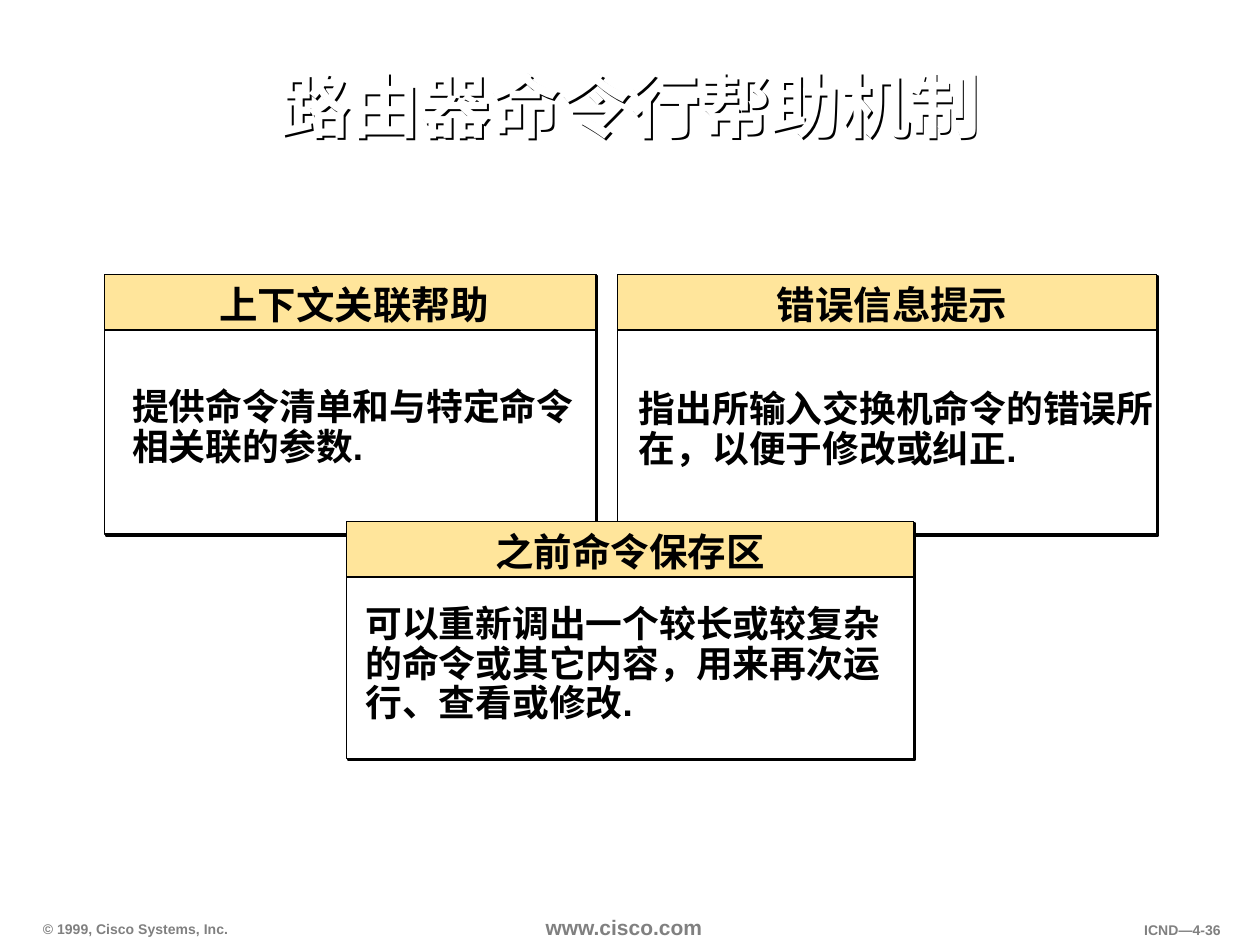
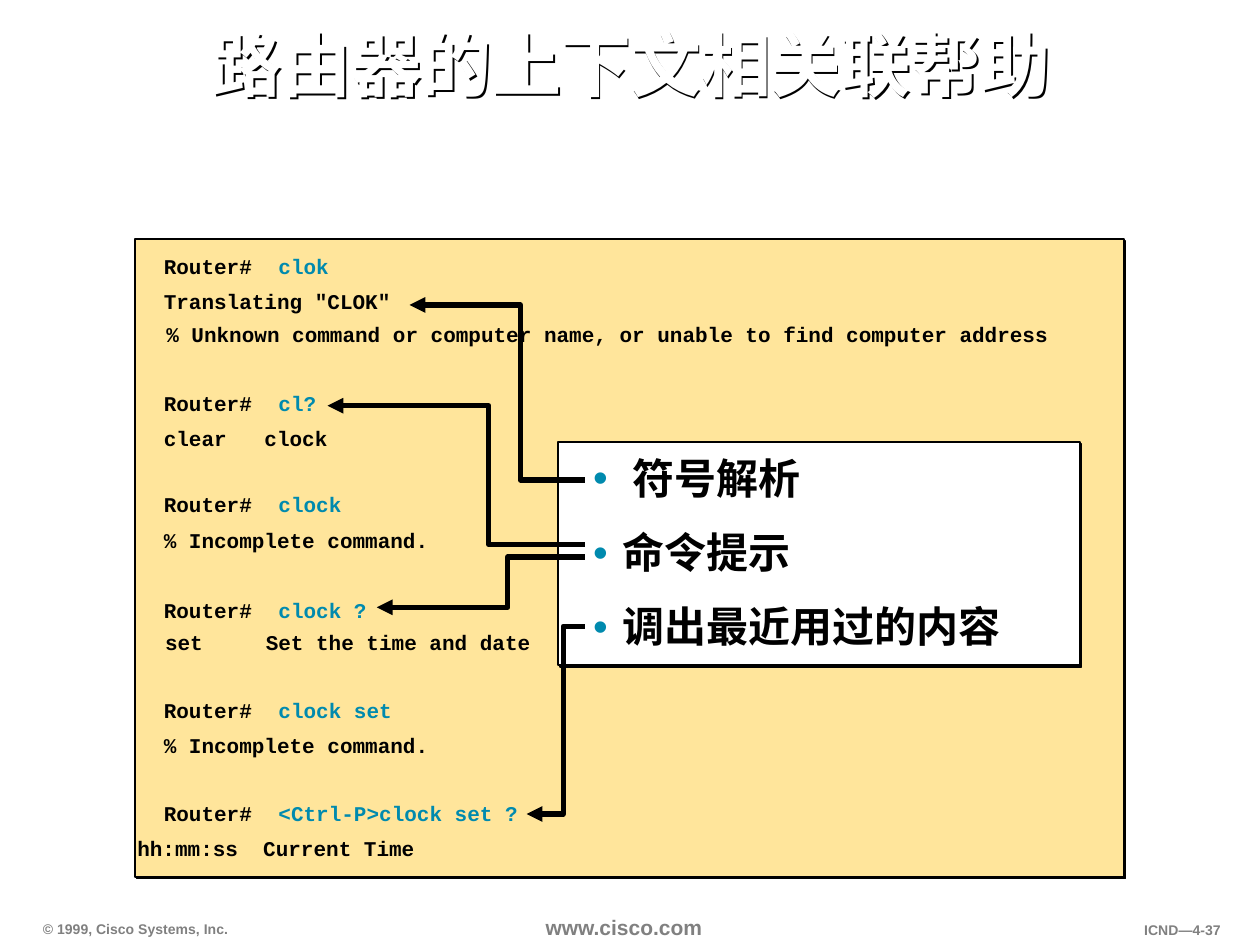
from dataclasses import dataclass

from lxml import etree
from pptx import Presentation
from pptx.dml.color import RGBColor
from pptx.enum.shapes import MSO_SHAPE
from pptx.enum.text import MSO_ANCHOR, MSO_AUTO_SIZE, PP_ALIGN
from pptx.oxml.ns import qn
from pptx.util import Inches, Pt

RECT = MSO_SHAPE.RECTANGLE
TOP, MID, LOW = MSO_ANCHOR.TOP, MSO_ANCHOR.MIDDLE, MSO_ANCHOR.BOTTOM
LEFT, MIDDLE, RIGHT = PP_ALIGN.LEFT, PP_ALIGN.CENTER, PP_ALIGN.RIGHT
GROW = MSO_AUTO_SIZE.SHAPE_TO_FIT_TEXT


@dataclass(frozen=True)
class Theme:
    ink: str = "000000"
    paper: str = "FFFFFF"
    sand: str = "FFE59B"
    teal: str = "008AAE"
    gray: str = "808080"
    sans: str = "Arial"
    mono: str = "Courier New"
    title: float = 40
    head: float = 22
    body: float = 21
    point: float = 24
    code: float = 12
    site: float = 12
    foot: float = 8
    thin: float = 1
    bold: float = 3
    drop: float = 1.4       # shadow of panels and titles


T = Theme()

# Footer: text, place, size, side padding, alignment, anchor, wrap
FOOT = [
    ("© 1999, Cisco Systems, Inc.", (0.25, 7.26, 1.68, 0.22), T.foot, 0.09, LEFT, LOW, False),
    ("www.cisco.com", (4.25, 7.22, 1.5, 0.28), T.site, 0.08, LEFT, TOP, True),
    ("ICND—4-{}", (8.58, 7.27, 1.2, 0.22), T.foot, 0.09, RIGHT, TOP, False),
]

# Help features: head, left and width of head, card, body text, text place
HEAD_H = 0.44
CARDS = [
    ("上下文关联帮助", (1.63, 2.36), (0.83, 2.18, 3.9, 2.06),
     "提供命令清单和与特定命令相关联的参数.", (0.94, 3.03, 3.94, 0.74)),
    ("错误信息提示", (6.05, 2.06), (4.9, 2.18, 4.28, 2.06),
     "指出所输入交换机命令的错误所在，以便于修改或纠正.", (4.96, 3.05, 4.42, 0.74)),
    ("之前命令保存区", (3.82, 2.36), (2.75, 4.14, 4.5, 1.88),
     "可以重新调出一个较长或较复杂的命令或其它内容，用来再次运行、查看或修改.",
     (2.79, 4.75, 4.42, 1.06)),
]

# Console session: top of the prompt, command, replies as (left, top, text)
PROMPT, CODE_X, CMD_X = "Router#", 1.18, 2.09
CODE_H, CHAR_W, CODE_PAD = 0.32, 0.1, 0.3
SHELL = [
    (1.95, "clok", [
        (CODE_X, 2.23, 'Translating "CLOK"'),
        (1.2, 2.49, "% Unknown command or computer name, "
                    "or unable to find computer address")]),
    (3.04, "cl?", [(CODE_X, 3.32, "clear   clock")]),
    (3.84, "clock", [(CODE_X, 4.13, "% Incomplete command.")]),
    (4.68, "clock ?", [(1.19, 4.94, "set     Set the time and date")]),
    (5.48, "clock set", [(CODE_X, 5.75, "% Incomplete command.")]),
    (6.29, "<Ctrl-P>clock set ?", [(0.97, 6.57, "hh:mm:ss  Current Time")]),
]
SCREEN = (1.07, 1.9, 7.85, 5.06)
PANEL = (4.43, 3.51, 4.14, 1.77)

# Points: text and indent
POINTS = [("符号解析", 0.31), ("命令提示", 0.23), ("调出最近用过的内容", 0.23)]
POINT_BOX = (4.61, 3.27, 4.66, 2.25)

# Arrows from the points to the session: start y, bend x, end x, end y
ARROW_X = 4.64
ARROWS = [
    (3.81, 4.13, 3.25, 2.42),
    (4.97, 4.47, 4.18, 6.46),
    (4.32, 3.88, 2.6, 3.22),
    (4.42, 4.03, 2.99, 4.82),
]


def rgb(tone):
    return RGBColor.from_string(tone)


def place(box):
    return [Inches(n) for n in box]


def shade(shape):
    """Give a shape a hard black shadow to the lower right."""
    shape.shadow.inherit = False
    fx = shape._element.spPr.find(qn("a:effectLst"))
    drop = etree.SubElement(fx, qn("a:outerShdw"), blurRad="0",
                            dist=str(Pt(T.drop)), dir="2700000",
                            algn="ctr", rotWithShape="0")
    etree.SubElement(drop, qn("a:srgbClr"), val=T.ink)


def write(para, text, size, tone=T.ink, font=T.sans):
    run = para.add_run()
    run.text = text
    face = run.font
    face.name, face.size, face.bold = font, Pt(size), True
    face.color.rgb = rgb(tone)


def set_frame(frame, pad, anchor, wrap):
    frame.word_wrap, frame.vertical_anchor = wrap, anchor
    frame.margin_left = frame.margin_right = Inches(pad[0])
    frame.margin_top = frame.margin_bottom = Inches(pad[1])


def add_text(slide, text, box, size, tone=T.ink, font=T.sans, pad=(0.11, 0.06),
             align=LEFT, anchor=TOP, wrap=True, grow=True, lead=None):
    shape = slide.shapes.add_textbox(*place(box))
    frame = shape.text_frame
    set_frame(frame, pad, anchor, wrap)
    if grow:
        frame.auto_size = GROW
    para = frame.paragraphs[0]
    para.alignment, para.line_spacing = align, lead
    write(para, text, size, tone, font)
    return shape


def add_rect(slide, box, tone, drop=True):
    shape = slide.shapes.add_shape(RECT, *place(box))
    shape.fill.solid()
    shape.fill.fore_color.rgb = rgb(tone)
    shape.line.color.rgb = rgb(T.ink)
    shape.line.width = Pt(T.thin)
    if drop:
        shade(shape)
    else:
        shape.shadow.inherit = False


def add_slide(deck, page):
    """Add a blank slide with the shared footer."""
    slide = deck.slides.add_slide(deck.slide_layouts[6])
    for text, box, size, side, align, anchor, wrap in FOOT:
        add_text(slide, text.format(page), box, size, T.gray, pad=(side, 0.04),
                 align=align, anchor=anchor, wrap=wrap)
    return slide


def add_title(slide, text, box):
    shape = add_text(slide, text, box, T.title, T.paper, pad=(0.09, 0.04),
                     align=MIDDLE, anchor=MID, grow=False, lead=0.9)
    shade(shape)


def add_card(slide, head, span, card, body, box):
    left, top, width, _ = card
    add_rect(slide, card, T.paper)
    add_rect(slide, (left, top, width, HEAD_H), T.sand, drop=False)
    add_text(slide, head, (span[0], top - 0.01, span[1], 0.48), T.head,
             align=MIDDLE, anchor=MID, wrap=False)
    add_text(slide, body, box, T.body, anchor=MID, lead=0.9)


def add_code(slide, left, top, text, tone=T.ink):
    width = len(text) * CHAR_W + CODE_PAD
    add_text(slide, text, (left, top, width, CODE_H), T.code, tone, T.mono,
             pad=(0.12, 0.06), wrap=False, grow=False)


def add_points(slide):
    frame = slide.shapes.add_textbox(*place(POINT_BOX)).text_frame
    set_frame(frame, (0.1, 0.05), MID, True)
    for i, (text, dent) in enumerate(POINTS):
        para = frame.add_paragraph() if i else frame.paragraphs[0]
        props = para._p.get_or_add_pPr()
        props.set("marL", str(Inches(dent)))
        props.set("indent", str(-Inches(dent)))
        tint = etree.SubElement(props, qn("a:buClr"))
        etree.SubElement(tint, qn("a:srgbClr"), val=T.teal)
        etree.SubElement(props, qn("a:buFont"), typeface=T.sans)
        etree.SubElement(props, qn("a:buChar"), char="•")
        para.line_spacing = 0.95
        if i:
            para.space_before = Pt(15)
        write(para, text, T.point)


def add_arrow(slide, start, bend, end, goal):
    path = [(bend, start), (bend, goal), (end, goal)]
    pen = slide.shapes.build_freeform(Inches(ARROW_X), Inches(start))
    pen.add_line_segments([place(dot) for dot in path], close=False)
    shape = pen.convert_to_shape()
    shape.fill.background()
    shape.shadow.inherit = False
    shape.line.color.rgb = rgb(T.ink)
    shape.line.width = Pt(T.bold)
    line = shape._element.spPr.find(qn("a:ln"))
    etree.SubElement(line, qn("a:tailEnd"), type="triangle")


def main():
    deck = Presentation()
    deck.slide_width, deck.slide_height = Inches(10), Inches(7.5)

    # Help features
    slide = add_slide(deck, 36)
    add_title(slide, "路由器命令行帮助机制", (0.43, 0.25, 9.15, 1.25))
    for card in CARDS:
        add_card(slide, *card)

    # Console session with its points
    slide = add_slide(deck, 37)
    add_rect(slide, SCREEN, T.sand)
    add_rect(slide, PANEL, T.paper)
    add_title(slide, "路由器的上下文相关联帮助", (0.84, 0.14, 8.34, 0.81))
    for top, cmd, replies in SHELL:
        add_code(slide, CODE_X, top, PROMPT)
        add_code(slide, CMD_X, top, cmd, T.teal)
        for reply in replies:
            add_code(slide, *reply)
    add_points(slide)
    for arrow in ARROWS:
        add_arrow(slide, *arrow)

    deck.save("out.pptx")


if __name__ == "__main__":
    main()
